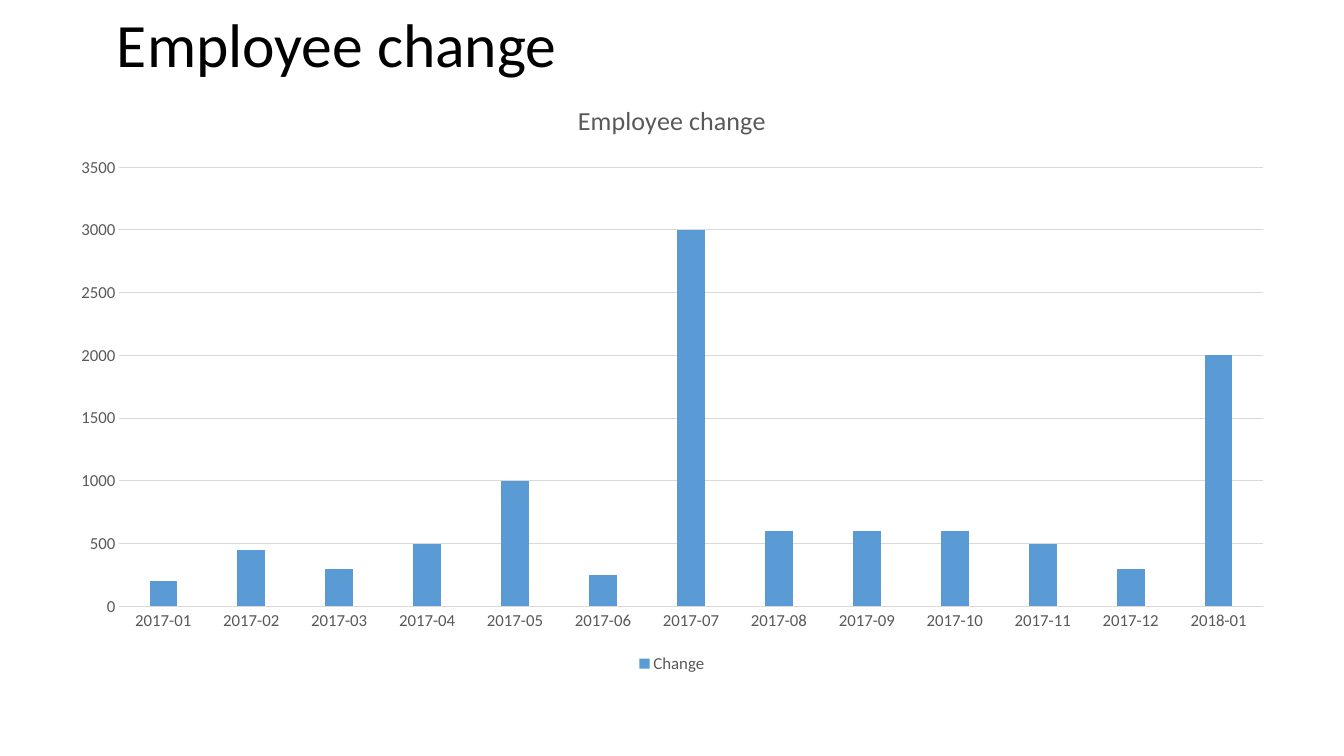
from dataclasses import dataclass

from pptx import Presentation
from pptx.chart.data import CategoryChartData
from pptx.dml.color import RGBColor
from pptx.enum.chart import XL_CHART_TYPE as Kind
from pptx.enum.chart import XL_LEGEND_POSITION as Place
from pptx.enum.chart import XL_TICK_MARK as Tick
from pptx.enum.text import MSO_ANCHOR as Anchor
from pptx.util import Pt


@dataclass(frozen=True)
class Theme:
    """Hold the font, colours and type sizes of the slide."""
    font: str = "Calibri"
    black: str = "000000"
    grey: str = "595959"
    rule: str = "D9D9D9"
    bar: str = "5B9BD5"
    head: float = 44
    title: float = 18.6
    label: float = 12


THEME = Theme()
TITLE = "Employee change"
MONTHS = [f"2017-{month:02}" for month in range(1, 13)] + ["2018-01"]
CHANGE = [200, 450, 300, 500, 1000, 250, 3000, 600, 600, 600, 500, 300, 2000]


def set_font(font, size, color):
    """Give a font its face, size and colour."""
    font.name = THEME.font
    font.size = Pt(size)
    font.bold = False
    font.color.rgb = RGBColor.from_string(color)


def set_line(line):
    """Draw a line as a thin pale rule."""
    line.width = Pt(0.75)
    line.color.rgb = RGBColor.from_string(THEME.rule)


def add_run(para, text, size, color):
    """Add one styled run to a paragraph."""
    run = para.add_run()
    run.text = text
    set_font(run.font, size, color)


def add_head(slide, text, box):
    """Add the slide heading."""
    frame = slide.shapes.add_textbox(*map(Pt, box)).text_frame
    frame.word_wrap = True
    frame.vertical_anchor = Anchor.MIDDLE
    para = frame.paragraphs[0]
    para.line_spacing = 0.9
    add_run(para, text, THEME.head, THEME.black)


def style_axis(axis):
    """Set the labels of an axis and hide its ticks."""
    axis.major_tick_mark = axis.minor_tick_mark = Tick.NONE
    set_font(axis.tick_labels.font, THEME.label, THEME.grey)


def add_bars(slide, title, name, cats, vals, box):
    """Add a column chart with a title and a legend below."""
    data = CategoryChartData()
    data.categories = cats
    data.add_series(name, vals)
    kind = Kind.COLUMN_CLUSTERED
    chart = slide.shapes.add_chart(kind, *map(Pt, box), data).chart
    chart.has_title = True
    para = chart.chart_title.text_frame.paragraphs[0]
    add_run(para, title, THEME.title, THEME.grey)
    chart.chart_title.include_in_layout = False

    chart.has_legend = True
    chart.legend.position = Place.BOTTOM
    chart.legend.include_in_layout = False
    set_font(chart.legend.font, THEME.label, THEME.grey)

    style_axis(chart.category_axis)
    set_line(chart.category_axis.format.line)
    style_axis(chart.value_axis)
    chart.value_axis.format.line.fill.background()
    set_line(chart.value_axis.major_gridlines.format.line)

    plot = chart.plots[0]
    plot.vary_by_categories = False
    plot.gap_width = 219
    plot.overlap = -27
    fill = plot.series[0].format.fill
    fill.solid()
    fill.fore_color.rgb = RGBColor.from_string(THEME.bar)


def main():
    """Build the slide and save it."""
    deck = Presentation()
    deck.slide_width, deck.slide_height = Pt(960), Pt(540)
    slide = deck.slides.add_slide(deck.slide_layouts[6])
    add_head(slide, TITLE, (76.5, 0, 806, 68.5))
    add_bars(slide, TITLE, "Change", MONTHS, CHANGE, (40.5, 57, 879, 427))
    deck.save("out.pptx")


if __name__ == "__main__":
    main()
